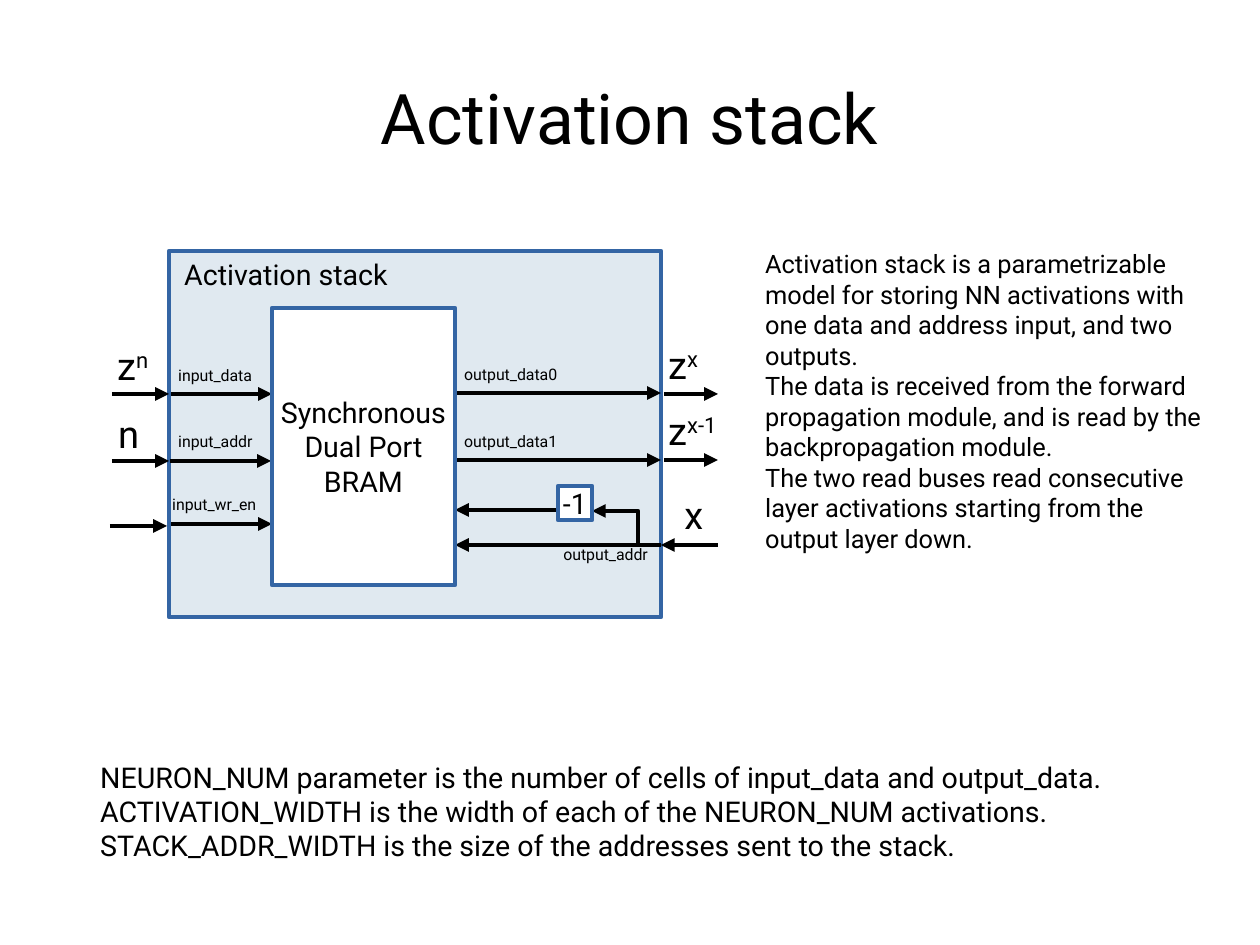
from typing import NamedTuple

from lxml import etree
from pptx import Presentation
from pptx import util as u
from pptx.dml.color import RGBColor
from pptx.enum import shapes, text
from pptx.oxml.ns import qn

PX = 8000  # EMU in one px, 45 px to the centimetre
FONT = "Roboto"
BLACK, WHITE, BLUE, PALE = "000000", "FFFFFF", "3465A4", "E0E9F0"
LINE_WIDTH = u.Pt(2.89)


class Block(NamedTuple):
    x: int
    y: int
    w: int
    h: int
    fill: str
    label: str = ""


class Arrow(NamedTuple):
    x1: int
    x2: int
    y: int


class Label(NamedTuple):
    x: int
    y: int
    w: int
    h: int
    words: str
    size: int
    sup: str = ""


STACK = Block(169, 251, 492, 366, PALE)
INNER_BLOCKS = [
    Block(558, 486, 34, 34, WHITE, "-1"),
    Block(272, 308, 183, 277, WHITE, "Synchronous\vDual Port\vBRAM"),
]

ARROWS = [
    # Inputs: outside the stack, then inside it
    Arrow(112, 169, 394), Arrow(171, 272, 394),
    Arrow(112, 169, 461), Arrow(170, 271, 461),
    Arrow(110, 167, 526), Arrow(171, 272, 524),
    # Outputs: inside the stack, then outside it
    Arrow(454, 661, 393), Arrow(664, 718, 394),
    Arrow(455, 661, 460), Arrow(664, 718, 460),
    # Read address and its decremented branch
    Arrow(718, 661, 545), Arrow(661, 455, 545), Arrow(558, 455, 510),
]
BRANCH = [(638, 545), (638, 511), (592, 511)]

LABELS = [
    Label(173, 251, 242, 72, "Activation stack", 18),
    Label(106, 337, 73, 90, "z", 24, "n"),
    Label(107, 405, 62, 90, "n", 24),
    Label(657, 336, 71, 90, "z", 24, "x"),
    Label(657, 402, 73, 90, "z", 24, "x-1"),
    Label(673, 486, 58, 90, "x", 24),
    Label(167, 360, 128, 90, "input_data", 10),
    Label(167, 426, 114, 90, "input_addr", 10),
    Label(161, 489, 127, 90, "input_wr_en", 10),
    Label(453, 359, 128, 90, "output_data0", 10),
    Label(453, 426, 128, 90, "output_data1", 10),
    Label(552, 539, 114, 90, "output_addr", 10),
    Label(754, 243, 469, 431,
          "Activation stack is a parametrizable model for storing NN activations "
          "with one data and address input, and two outputs.\n"
          "The data is received from the forward propagation module, and is read "
          "by the backpropagation module.\n"
          "The two read buses read consecutive layer activations starting from "
          "the output layer down.", 16),
    Label(89, 754, 1100, 137,
          "NEURON_NUM parameter is the number of cells of input_data and output_data.\n"
          "ACTIVATION_WIDTH is the width of each of the NEURON_NUM activations.\n"
          "STACK_ADDR_WIDTH is the size of the addresses sent to the stack.", 18),
]


def px(*lengths: int) -> list[int]:
    return [u.Emu(n * PX) for n in lengths]


def rgb(colour: str) -> RGBColor:
    return RGBColor.from_string(colour)


def write(tf, words: str, *, size: int, sup: str = "", align=text.PP_ALIGN.LEFT,
          anchor=text.MSO_ANCHOR.TOP, wrap: bool = True) -> None:
    """Fill a text frame; newlines part paragraphs, sup is raised at the end."""
    tf.word_wrap = wrap
    tf.vertical_anchor = anchor
    for i, line in enumerate(words.split("\n")):
        p = tf.add_paragraph() if i else tf.paragraphs[0]
        p.text = line
        p.alignment = align
    if sup:
        r = p.add_run()
        r.text = sup
        r._r.get_or_add_rPr().set("baseline", "33000")
    for p in tf.paragraphs:
        for r in p.runs:
            r.font.name = FONT
            r.font.size = u.Pt(size)
            r.font.color.rgb = rgb(BLACK)


def style_line(line, colour: str, arrowhead: bool = False) -> None:
    line.color.rgb = rgb(colour)
    line.width = LINE_WIDTH
    if arrowhead:
        etree.SubElement(line._get_or_add_ln(), qn("a:tailEnd"), type="triangle")


def add_block(slide, block: Block) -> None:
    sp = slide.shapes.add_shape(shapes.MSO_SHAPE.RECTANGLE, *px(*block[:4]))
    sp.shadow.inherit = False
    sp.fill.solid()
    sp.fill.fore_color.rgb = rgb(block.fill)
    style_line(sp.line, BLUE)
    if block.label:
        write(sp.text_frame, block.label, size=18, align=text.PP_ALIGN.CENTER,
              anchor=text.MSO_ANCHOR.MIDDLE, wrap=False)


def add_arrow(slide, arrow: Arrow) -> None:
    ends = px(arrow.x1, arrow.y, arrow.x2, arrow.y)
    line = slide.shapes.add_connector(shapes.MSO_CONNECTOR.STRAIGHT, *ends)
    style_line(line.line, BLACK, arrowhead=True)
    etree.SubElement(line._element.spPr, qn("a:effectLst"))


def add_branch(slide, points: list[tuple[int, int]]) -> None:
    """Draw the bent arrow from the read address to the decrement block."""
    builder = slide.shapes.build_freeform(*points[0], scale=PX)
    builder.add_line_segments(points[1:], close=False)
    sp = builder.convert_to_shape()
    sp.shadow.inherit = False
    sp.fill.background()
    style_line(sp.line, BLACK, arrowhead=True)


def add_label(slide, label: Label) -> None:
    box = slide.shapes.add_textbox(*px(*label[:4]))
    write(box.text_frame, label.words, size=label.size, sup=label.sup)


def set_title(slide, words: str) -> None:
    title = slide.shapes.title
    title.left, title.top, title.width, title.height = px(63, 38, 1134, 158)
    tf = title.text_frame
    tf.margin_left = tf.margin_top = tf.margin_right = tf.margin_bottom = 0
    write(tf, words, size=44, align=text.PP_ALIGN.CENTER,
          anchor=text.MSO_ANCHOR.MIDDLE)


def main() -> None:
    prs = Presentation()
    prs.slide_width, prs.slide_height = px(1260, 945)
    slide = prs.slides.add_slide(prs.slide_layouts.get_by_name("Title Only"))
    set_title(slide, "Activation stack")
    add_block(slide, STACK)
    for arrow in ARROWS:
        add_arrow(slide, arrow)
    add_branch(slide, BRANCH)
    for block in INNER_BLOCKS:
        add_block(slide, block)
    for label in LABELS:
        add_label(slide, label)
    prs.save("out.pptx")


if __name__ == "__main__":
    main()
